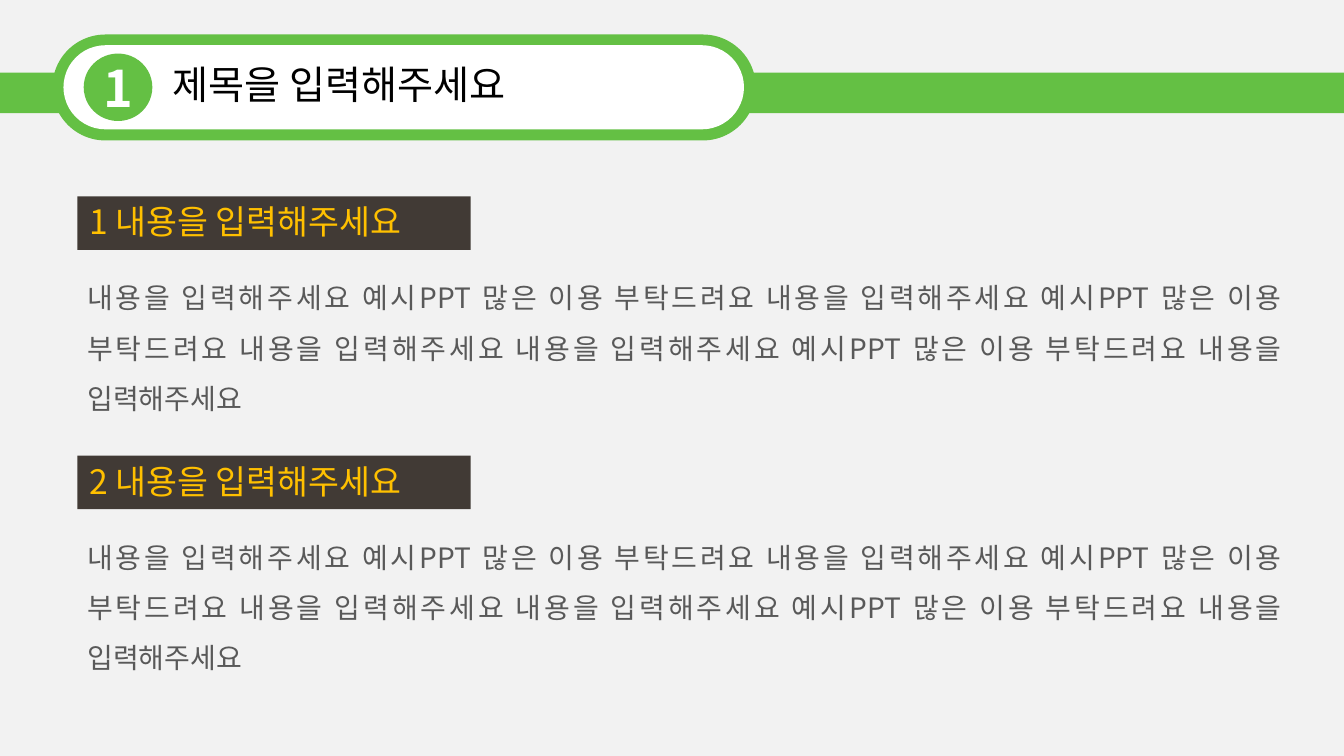
from dataclasses import dataclass

from lxml.etree import SubElement
from pptx import Presentation
from pptx.dml.color import RGBColor
from pptx.enum.shapes import MSO_SHAPE as Preset
from pptx.enum.text import MSO_ANCHOR as Anchor, MSO_AUTO_SIZE as AutoSize, PP_ALIGN as Align
from pptx.oxml.ns import qn
from pptx.util import Cm, Pt


@dataclass(frozen=True)
class Theme:
    """Colours, font and type sizes of the slide."""
    font: str = "Noto Sans CJK KR"
    background: str = "F2F2F2"
    green: str = "64C044"
    white: str = "FFFFFF"
    black: str = "000000"
    brown: str = "413A35"
    amber: str = "FFC000"
    grey: str = "595959"
    title: int = 28
    badge: int = 36
    heading: int = 24
    body: int = 20


THEME = Theme()
SECTION_TOP, SECTION_PITCH = 4.95, 6.53
HEADING = "내용을 입력해주세요"
GREETING = f"{HEADING} 예시PPT 많은 이용 부탁드려요"
BODY = f"{GREETING} {GREETING} {HEADING} {GREETING} {HEADING}"


def place(shape, left, top, width, height):
    """Set the position and size of a shape in centimetres."""
    shape.left, shape.top, shape.width, shape.height = map(Cm, (left, top, width, height))


def write(shape, text, size, color, align=Align.LEFT, bold=False):
    """Put one formatted paragraph into a shape and return the paragraph."""
    frame = shape.text_frame
    frame.word_wrap = True
    frame.auto_size = AutoSize.NONE
    frame.vertical_anchor = Anchor.TOP
    paragraph = frame.paragraphs[0]
    paragraph.text = text
    paragraph.alignment = align
    font = paragraph.font
    font.name, font.size, font.bold = THEME.font, Pt(size), bold
    font.color.rgb = RGBColor.from_string(color)
    # Korean glyphs take their typeface from a:ea
    properties = paragraph._p.pPr.find(qn("a:defRPr"))
    SubElement(properties, qn("a:ea")).set("typeface", THEME.font)
    return paragraph


def add_block(slide, preset, box, color):
    """Add a flat preset shape without outline or shadow."""
    shape = slide.shapes.add_shape(preset, *map(Cm, box))
    shape.shadow.inherit = False
    shape.fill.solid()
    shape.fill.fore_color.rgb = RGBColor.from_string(color)
    shape.line.fill.background()
    return shape


def add_header(slide, number, text):
    """Draw the green band with its pill, numbered badge and title."""
    add_block(slide, Preset.RECTANGLE, (0, 1.83, 33.87, 1.02), THEME.green)
    for box, color in (((1.32, 0.87, 17.73, 2.67), THEME.green),
                       ((1.6, 1.14, 17.15, 2.12), THEME.white)):
        pill = add_block(slide, Preset.ROUNDED_RECTANGLE, box, color)
        pill.adjustments[0] = 0.5
    badge = add_block(slide, Preset.OVAL, (2.11, 1.35, 1.73, 1.7), THEME.green)
    write(badge, number, THEME.badge, THEME.white, Align.CENTER, bold=True)
    frame = badge.text_frame
    frame.vertical_anchor = Anchor.MIDDLE
    frame.word_wrap = False
    frame.margin_left = frame.margin_right = frame.margin_top = frame.margin_bottom = 0

    title = slide.shapes.title
    place(title, 4.09, 1.4, 12.04, 1.45)
    write(title, text, THEME.title, THEME.black)
    slide.shapes._spTree.append(title._element)  # bring in front of the pill


def add_section(slide, top, number):
    """Draw a heading bar and the justified body text below it."""
    bar = add_block(slide, Preset.RECTANGLE, (1.95, top, 9.91, 1.35), THEME.brown)
    write(bar, f"{number} {HEADING}", THEME.heading, THEME.amber)
    bar.text_frame.margin_left = Cm(0.3)
    body = slide.shapes.add_textbox(*map(Cm, (1.95, top + 1.58, 30.6, 2.82)))
    write(body, BODY, THEME.body, THEME.grey, Align.JUSTIFY).line_spacing = 1.5


def main():
    """Build and save the slide."""
    presentation = Presentation()
    presentation.slide_width, presentation.slide_height = Cm(33.87), Cm(19.05)
    slide = presentation.slides.add_slide(presentation.slide_layouts[5])
    slide.background.fill.solid()
    slide.background.fill.fore_color.rgb = RGBColor.from_string(THEME.background)
    add_header(slide, "1", "제목을 입력해주세요")
    for index in range(2):
        add_section(slide, SECTION_TOP + index * SECTION_PITCH, index + 1)
    presentation.save("out.pptx")


main()
